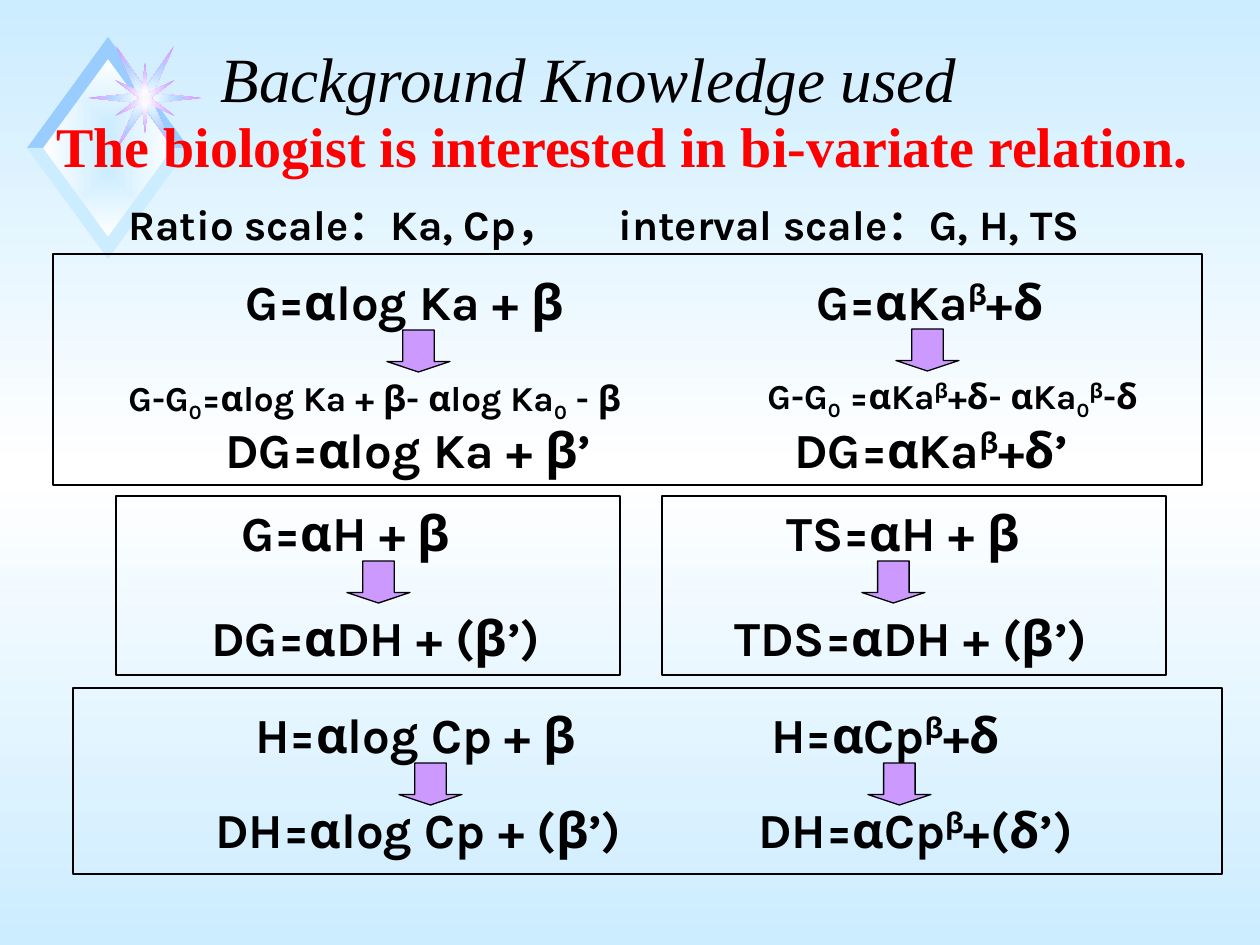
from lxml.etree import SubElement
from pptx import Presentation
from pptx.dml.color import RGBColor
from pptx.enum.shapes import MSO_SHAPE
from pptx.enum.text import MSO_ANCHOR, MSO_AUTO_SIZE, PP_ALIGN
from pptx.oxml.ns import qn
from pptx.util import Inches, Pt

SCALE = 7257  # EMU per px, at 126 px to the inch
BASELINES = {"^": "30000", "_": "-25000"}
hex_color = RGBColor.from_string


def add_text(shape, text, font="Karla", size=28, color="000000", bold=True,
             italic=False, wrap=False, tab=None):
    """Fill a shape with one line; '|' parts runs, '^' raises and '_' lowers one."""
    frame = shape.text_frame
    frame.word_wrap = wrap
    frame.auto_size = MSO_AUTO_SIZE.NONE if wrap else MSO_AUTO_SIZE.SHAPE_TO_FIT_TEXT
    paragraph = frame.paragraphs[0]
    paragraph.alignment = PP_ALIGN.LEFT
    if tab:
        tabs = SubElement(paragraph._p.get_or_add_pPr(), qn("a:tabLst"))
        SubElement(tabs, qn("a:tab"), pos=str(tab * SCALE), algn="l")
    for part in text.split("|"):
        run = paragraph.add_run()
        run.text = part.lstrip("^_")
        run.font.name, run.font.size = font, Pt(size)
        run.font.bold, run.font.italic = bold, italic
        run.font.color.rgb = hex_color(color)
        if part[0] in BASELINES:
            run._r.get_or_add_rPr().set("baseline", BASELINES[part[0]])


def set_gradient(fill, element, colors, from_center=True):
    """Spread the colours evenly, outwards from the centre or from top to bottom."""
    fill.gradient()
    gradient = element.find(".//" + qn("a:gradFill"))
    for child in list(gradient):
        gradient.remove(child)
    stops = SubElement(gradient, qn("a:gsLst"))
    for index, color in enumerate(colors):
        position = 100000 * index // (len(colors) - 1)
        stop = SubElement(stops, qn("a:gs"), pos=str(position))
        SubElement(stop, qn("a:srgbClr"), val=color)
    if from_center:
        shade = SubElement(gradient, qn("a:path"), {"path": "rect"})
        SubElement(shade, qn("a:fillToRect"), l="50000", t="50000", r="50000", b="50000")
    else:
        SubElement(gradient, qn("a:lin"), ang="5400000", scaled="0")


presentation = Presentation()
presentation.slide_width, presentation.slide_height = Inches(10), Inches(7.5)
slide = presentation.slides.add_slide(presentation.slide_layouts[5])
shapes = slide.shapes
title = shapes.title

# Background
set_gradient(slide.background.fill, slide._element, ["CCECFF", "FFFFFF", "CCECFF"],
             from_center=False)

# Ornament outlines: diamond, its four bands, then stars by half outline
center_x, center_y = 108, 148
ornament = [([(center_x, center_y - 89), (center_x - 65, center_y),
              (center_x, center_y + 89), (center_x + 65, center_y)],
             ["CCECFF", "FFFFFF"])]
for vertical, color in ((-1, "99CCFF"), (1, "CCECFF")):
    for side in (1, -1):
        ornament.append(([(center_x, center_y + 89 * vertical),
                          (center_x, center_y + 111 * vertical),
                          (center_x + 81 * side, center_y),
                          (center_x + 65 * side, center_y)], [color]))
stars = [
    ([(-8, -5), (-29, -52), (0, -10), (29, -52), (8, -5), (57, 0)], ["FFFFFF", "CC99FF"]),
    ([(-8, -5), (-21, -38), (0, -10), (21, -38), (8, -5), (42, 0)], ["FFFFFF", "99CCFF"]),
    ([(-30, -18), (-3, -5), (0, -36), (3, -5), (30, -18), (6, 0)], ["FFFFFF", "CC99FF"]),
    ([(-7, -5), (-1, -3), (0, -9), (1, -3), (7, -5), (2, 0)], ["F9F9F9"]),
]
for half, colors in stars:
    outline = half + [(-x, -y) for x, y in half]
    ornament.append(([(145 + x, 98 + y) for x, y in outline], colors))

for points, colors in ornament:
    builder = shapes.build_freeform(*points[0], scale=SCALE)
    builder.add_line_segments(points[1:], close=True)
    shape = builder.convert_to_shape()
    shape.shadow.inherit = False
    shape.line.fill.background()
    if len(colors) == 1:
        shape.fill.solid()
        shape.fill.fore_color.rgb = hex_color(colors[0])
    else:
        set_gradient(shape.fill, shape._element, colors)

# Title, kept in front of the ornament
shapes._spTree.append(title._element)
title.left, title.top, title.width, title.height = (
    length * SCALE for length in (208, 32, 926, 89))
title.text_frame.vertical_anchor = MSO_ANCHOR.BOTTOM
add_text(title, "Background Knowledge used", font="Times New Roman", size=36,
         bold=False, italic=True, wrap=True)

# Text lines: left, top, width, height, text, format
scales = {"size": 24, "tab": 490}
small = {"size": 20}
headline = {"font": "Times New Roman", "size": 32, "color": "FF0000"}
lines = [
    (116, 192, 1023, 63, "Ratio scale：Ka, Cp，\tinterval scale：G, H, TS", scales),
    (233, 265, 354, 72, "G=αlog Ka + β", {}),
    (804, 265, 262, 72, "G=αKa|^β|+δ", {}),
    (116, 370, 527, 60, "G-G|_0|=αlog Ka + β- αlog Ka|_0| - β", small),
    (755, 368, 402, 60, "G-G|_0| =αKa|^β|+δ- αKa|_0|^β|-δ", small),
    (213, 413, 404, 72, "DG=αlog Ka + β’", {}),
    (782, 413, 312, 72, "DG=αKa|^β|+δ’", {}),
    (229, 496, 243, 72, "G=αH + β", {}),
    (774, 496, 263, 72, "TS=αH + β", {}),
    (199, 601, 359, 72, "DG=αDH + (β’)", {}),
    (722, 601, 379, 72, "TDS=αDH + (β’)", {}),
    (243, 698, 357, 72, "H=αlog Cp + β", {}),
    (759, 698, 265, 72, "H=αCp|^β|+δ", {}),
    (203, 793, 445, 72, "DH=αlog Cp + (β’)", {}),
    (746, 793, 353, 72, "DH=αCp|^β|+(δ’)", {}),
    (44, 105, 1160, 81, "The biologist is interested in bi-variate relation.", headline),
]
for left, top, width, height, text, text_format in lines:
    box = shapes.add_textbox(left * SCALE, top * SCALE, width * SCALE, height * SCALE)
    add_text(box, text, **text_format)

# Frames around each group of relations, and the arrows between the steps
frames = [(53, 254, 1149, 231), (116, 496, 504, 179), (662, 496, 504, 179),
          (73, 688, 1149, 186)]
arrows = [(387, 330), (896, 329), (347, 561), (862, 561), (399, 763), (868, 763)]
outlined = [(MSO_SHAPE.RECTANGLE, frame, None, 1) for frame in frames]
outlined += [(MSO_SHAPE.DOWN_ARROW, (left, top, 63, 42), "CC99FF", 0.75)
             for left, top in arrows]
for kind, place, color, line_width in outlined:
    shape = shapes.add_shape(kind, *(length * SCALE for length in place))
    shape.shadow.inherit = False
    shape.line.color.rgb = hex_color("000000")
    shape.line.width = Pt(line_width)
    if color:
        shape.adjustments[0], shape.adjustments[1] = 0.5, 0.25
        shape.fill.solid()
        shape.fill.fore_color.rgb = hex_color(color)
    else:
        shape.fill.background()

presentation.save("out.pptx")
